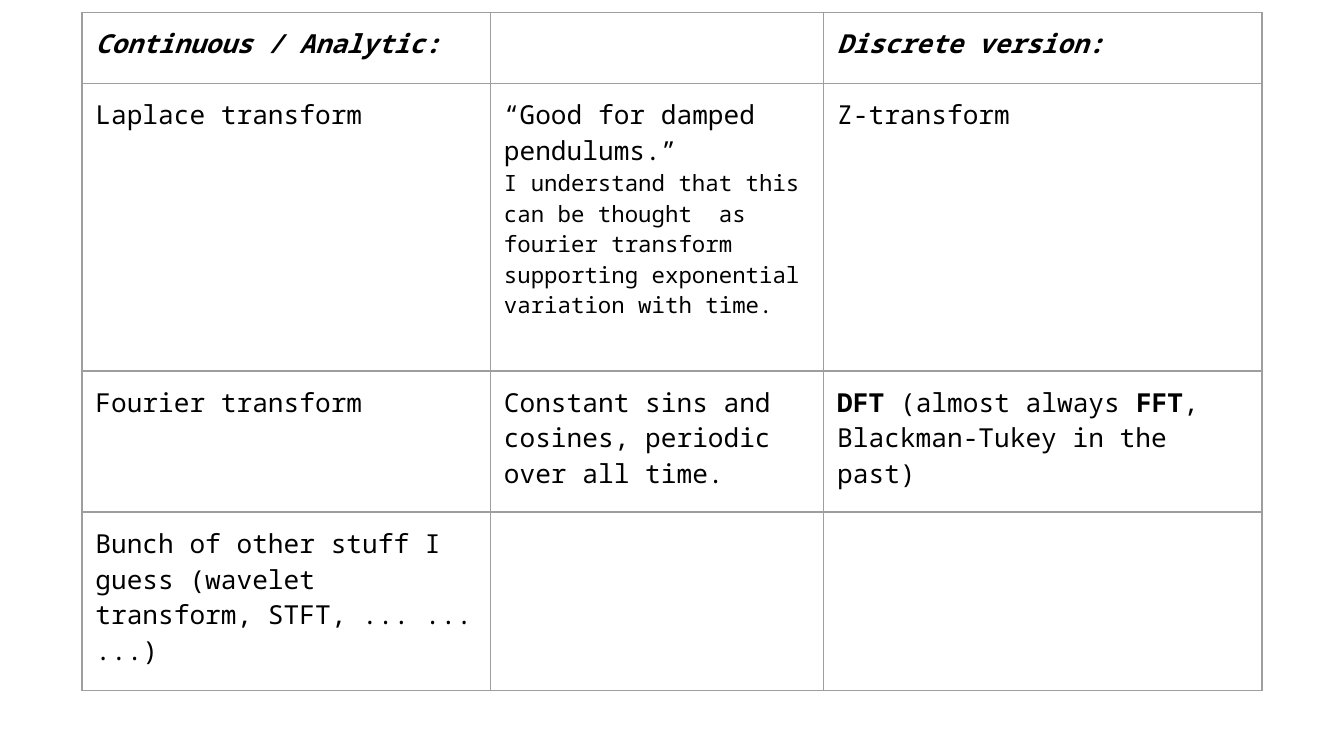
"""Builds a slide with a table of continuous transforms and their discrete versions."""
from pptx import Presentation
from pptx.dml.color import RGBColor
from pptx.oxml import parse_xml
from pptx.oxml.ns import nsdecls
from pptx.util import Inches, Pt

COLORS = {"text": "000000", "border": "9E9E9E", "background": "FFFFFF"}
GRID_COLUMNS = 100
COLUMN_WIDTHS = [30.4, 24.8, 32.6]
ROW_HEIGHTS = [5.3, 21.4, 10.5, 13.3]

BODY = {"name": "Noto Sans Mono", "size": Pt(14), "bold": False, "italic": False}
HEADING = BODY | {"bold": True, "italic": True}
STRONG = BODY | {"bold": True}
SMALL = BODY | {"size": Pt(12)}

ROWS = [
    [[[("Continuous / Analytic:", HEADING)]], [], [[("Discrete version:", HEADING)]]],
    [
        [[("Laplace transform", BODY)]],
        [
            [("“Good for damped pendulums.”", BODY)],
            [("I understand that this can be thought  as fourier transform "
              "supporting exponential variation with time.", SMALL)],
        ],
        [[("Z-transform", BODY)]],
    ],
    [
        [[("Fourier transform", BODY)]],
        [[("Constant sins and cosines, periodic over all time.", BODY)]],
        [[("DFT", STRONG), (" (almost always ", BODY), ("FFT", STRONG),
          (", Blackman-Tukey in the past)", BODY)]],
    ],
    [
        [[("Bunch of other stuff I guess (wavelet transform, STFT, ... ... ...)", BODY)]],
        [],
        [],
    ],
]


class SlideBuilder:
    """Holds the style and the current slide, measured in square grid units."""

    def __init__(self, presentation, colors):
        self.colors = colors
        self.unit = presentation.slide_width / GRID_COLUMNS
        self.slide = presentation.slides.add_slide(presentation.slide_layouts[6])
        background = self.slide.background.fill
        background.solid()
        background.fore_color.rgb = RGBColor.from_string(colors["background"])

    def length(self, units):
        return round(units * self.unit)

    def add_table(self, left, top, widths, heights, rows):
        box = [self.length(value) for value in (left, top, sum(widths), sum(heights))]
        table = self.slide.shapes.add_table(len(heights), len(widths), *box).table
        table.first_row = table.horz_banding = False
        for column, width in zip(table.columns, widths):
            column.width = self.length(width)
        for row, height, contents in zip(table.rows, heights, rows):
            row.height = self.length(height)
            for cell, paragraphs in zip(row.cells, contents):
                self.format_cell(cell)
                self.write_text(cell.text_frame, paragraphs)

    def format_cell(self, cell):
        for side in ("left", "top", "right", "bottom"):
            setattr(cell, f"margin_{side}", self.length(1))
        cell.fill.background()
        properties = cell._tc.get_or_add_tcPr()
        for position, side in enumerate("LRTB"):
            line = parse_xml(f'<a:ln{side} {nsdecls("a")} w="{Pt(0.75)}"><a:solidFill>'
                             f'<a:srgbClr val="{self.colors["border"]}"/>'
                             f'</a:solidFill></a:ln{side}>')
            properties.insert(position, line)

    def write_text(self, text_frame, paragraphs):
        for index, runs in enumerate(paragraphs):
            paragraph = text_frame.add_paragraph() if index else text_frame.paragraphs[0]
            for text, style in runs:
                run = paragraph.add_run()
                run.text = text
                run.font.color.rgb = RGBColor.from_string(self.colors["text"])
                for attribute, value in style.items():
                    setattr(run.font, attribute, value)


def main():
    presentation = Presentation()
    presentation.slide_width = Inches(10)
    presentation.slide_height = presentation.slide_width * 9 // 16
    builder = SlideBuilder(presentation, COLORS)
    builder.add_table(6.1, 0.9, COLUMN_WIDTHS, ROW_HEIGHTS, ROWS)
    presentation.save("out.pptx")


if __name__ == "__main__":
    main()
